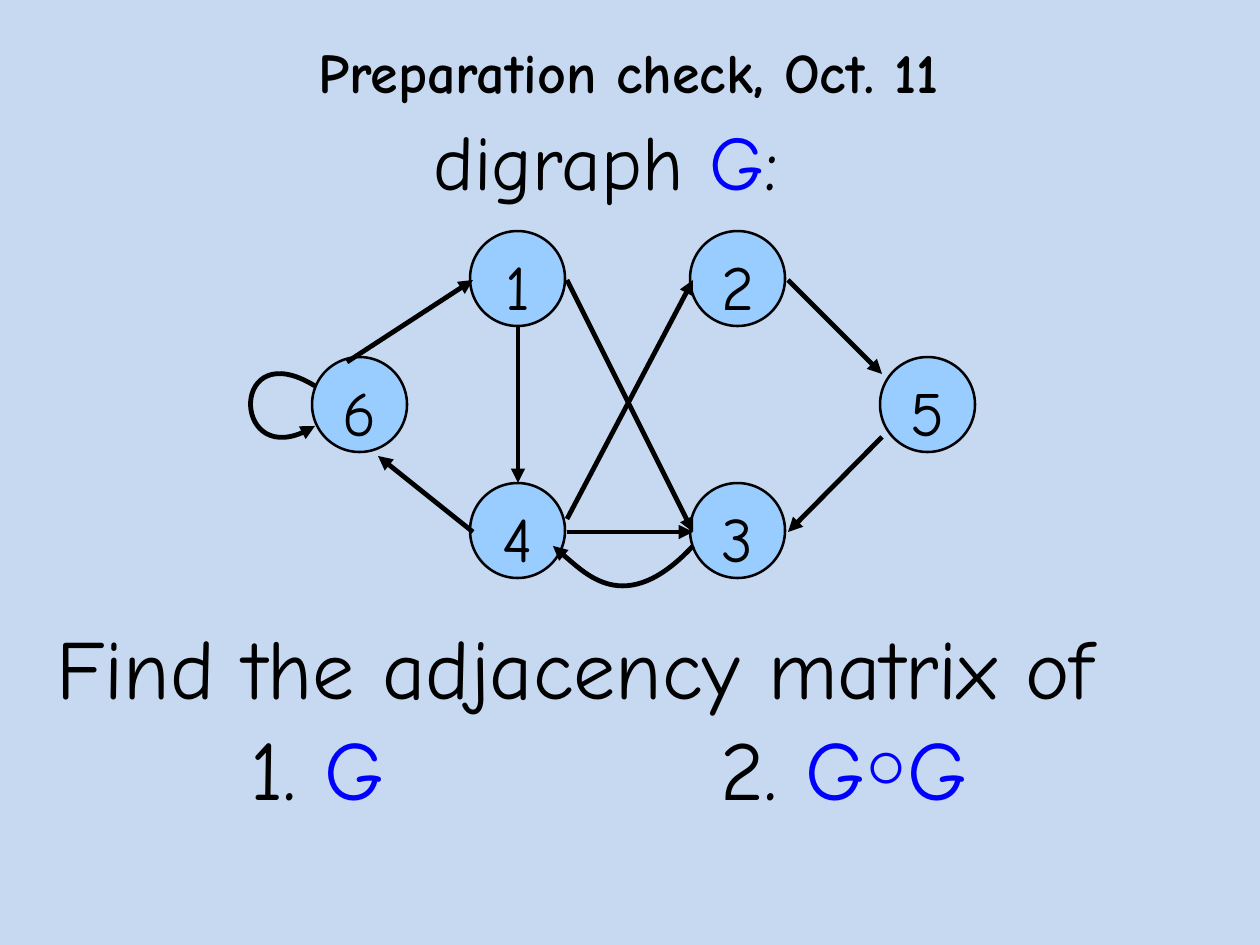
from lxml import etree
from pptx import Presentation
from pptx.dml.color import RGBColor
from pptx.enum.shapes import MSO_CONNECTOR, MSO_SHAPE
from pptx.enum.text import MSO_ANCHOR, PP_ALIGN
from pptx.oxml.ns import qn
from pptx.util import Pt

ELLIPSE, STRAIGHT = MSO_SHAPE.OVAL, MSO_CONNECTOR.STRAIGHT
TOP, MIDDLE = MSO_ANCHOR.TOP, MSO_ANCHOR.MIDDLE
LEFT, CENTER = PP_ALIGN.LEFT, PP_ALIGN.CENTER
BLACK, BLUE, NODE_FILL, BACKGROUND = "000000", "0000FF", "99CCFF", "C6D9F1"
TITLE_ONLY = 5


def px(n):
    return round(n * 914400 / 126)


def rgb(value):
    return RGBColor.from_string(value)


class Page:
    font = "Comic Neue"
    circle_font = "Noto Sans CJK JP"
    node_size = 95

    def __init__(self, prs):
        self.slide = prs.slides.add_slide(prs.slide_layouts[TITLE_ONLY])
        self.shapes = self.slide.shapes
        fill = self.slide.background.fill
        fill.solid()
        fill.fore_color.rgb = rgb(BACKGROUND)

    def set_text(self, p, runs, size, align=LEFT, bold=False, spacing=None, tabs=()):
        p.alignment = align
        if spacing:
            p.line_spacing = spacing
        if tabs:
            tab_list = etree.SubElement(p._p.get_or_add_pPr(), qn("a:tabLst"))
            for tab in tabs:
                etree.SubElement(tab_list, qn("a:tab"), pos=str(px(tab)), algn="l")
        p.font.name, p.font.size, p.font.bold = self.font, Pt(size), bold
        p.font.color.rgb = rgb(BLACK)
        for text, color in runs:
            r = p.add_run()
            r.text = text
            if color != BLACK:
                r.font.color.rgb = rgb(color)
            if text == "\uffee":
                for tag in ("a:latin", "a:ea"):
                    etree.SubElement(r._r.get_or_add_rPr(), qn(tag), typeface=self.circle_font)

    def title(self, box, text, size):
        sp = self.shapes.title
        sp.left, sp.top, sp.width, sp.height = map(px, box)
        tf = sp.text_frame
        tf.vertical_anchor = TOP
        self.set_text(tf.paragraphs[0], [(text, BLACK)], size, CENTER, bold=True)

    def text(self, box, lines, size, spacing=None, tabs=()):
        tf = self.shapes.add_textbox(*map(px, box)).text_frame
        tf.word_wrap = True
        for i, runs in enumerate(lines):
            p = tf.add_paragraph() if i else tf.paragraphs[0]
            self.set_text(p, runs, size, spacing=spacing, tabs=tabs)

    def node(self, x, y, label):
        sp = self.shapes.add_shape(ELLIPSE, px(x), px(y), px(self.node_size), px(self.node_size))
        sp.shadow.inherit = False
        sp.fill.solid()
        sp.fill.fore_color.rgb = rgb(NODE_FILL)
        sp.line.color.rgb = rgb(BLACK)
        sp.line.width = Pt(1.45)
        tf = sp.text_frame
        tf.vertical_anchor = MIDDLE
        tf.margin_left = tf.margin_right = px(14)
        tf.margin_top = tf.margin_bottom = px(8)
        self.set_text(tf.paragraphs[0], [(label, BLACK)], 36, CENTER, spacing=1.17)

    def arrow_line(self, line):
        line.color.rgb = rgb(BLACK)
        line.width = Pt(2.75)
        etree.SubElement(line._get_or_add_ln(), qn("a:tailEnd"), type="triangle")

    def arrow(self, *ends):
        cxn = self.shapes.add_connector(STRAIGHT, *map(px, ends))
        self.arrow_line(cxn.line)
        etree.SubElement(cxn._element.spPr, qn("a:effectLst"))

    def curve(self, start, *controls):
        builder = self.shapes.build_freeform(px(start[0]), px(start[1]))
        builder.add_line_segments([(px(x), px(y)) for x, y in controls], close=False)
        sp = builder.convert_to_shape()
        outline = next(sp._element.iter(qn("a:path")))
        bezier = etree.SubElement(outline, qn("a:cubicBezTo"))
        for segment in outline.findall(qn("a:lnTo")):
            bezier.append(segment[0])
            outline.remove(segment)
        sp.fill.background()
        self.arrow_line(sp.line)
        sp.shadow.inherit = False


prs = Presentation()
prs.slide_width, prs.slide_height = px(1260), px(945)
page = Page(prs)

page.title((134, 31, 990, 110), "Preparation check, Oct. 11", 32)
page.text((16, 609, 1227, 231), [
    [(" Find the adjacency matrix of", BLACK)],
    [("\t1. ", BLACK), ("G", BLUE), ("\t2. ", BLACK), ("G", BLUE), ("\uffee", BLUE), ("G", BLUE)],
], 48, tabs=(222, 692))

nodes = [(470, 231), (690, 231), (690, 483), (470, 483), (880, 357), (312, 357)]
for number, (x, y) in enumerate(nodes, 1):
    page.node(x, y, str(number))

edges = [
    (347, 362, 473, 280),
    (518, 325, 518, 483),
    (567, 280, 693, 532),
    (567, 519, 693, 280),
    (567, 532, 693, 532),
    (788, 280, 882, 374),
    (882, 437, 788, 532),
    (473, 532, 378, 456),
]
for edge in edges:
    page.arrow(*edge)
page.curve((315, 386), (231, 334), (231, 478), (315, 426))
page.curve((693, 546), (624, 620), (553, 546), (553, 546))

page.text((421, 116, 418, 98), [[("digraph ", BLACK), ("G", BLUE), (":", BLACK)]], 44, spacing=0.93)

prs.save("out.pptx")
